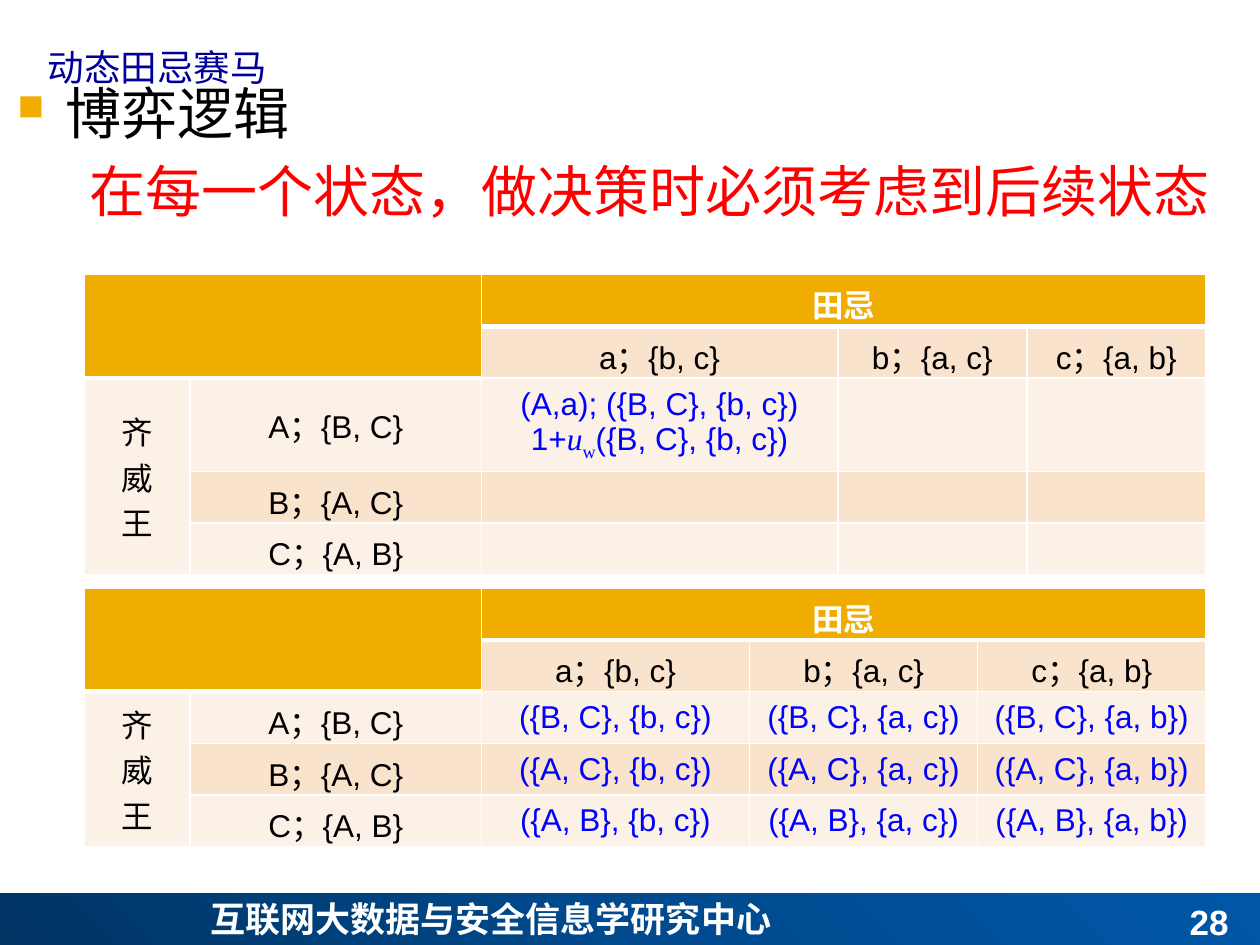
"""Build the slide on game logic in the dynamic Tian Ji horse race."""
from lxml import etree
from pptx import Presentation
from pptx.dml.color import RGBColor
from pptx.enum import shapes, text
from pptx.oxml import parse_xml
from pptx.oxml.ns import qn
from pptx.util import Inches, Pt

WHITE = RGBColor(0xFF, 0xFF, 0xFF)
BLACK = RGBColor(0, 0, 0)
NAVY = RGBColor(0, 0, 0x99)
RED = RGBColor(0xFF, 0, 0)
BLUE = RGBColor(0, 0, 0xFF)
AMBER = RGBColor(0xF0, 0xAD, 0)
PEACH = RGBColor(0xF9, 0xE3, 0xCC)
CREAM = RGBColor(0xFC, 0xF1, 0xE7)
FOOTER_STOPS = [(0, "003463"), (50, "004A8D"), (100, "0057A7")]
NS = 'xmlns:a="http://schemas.openxmlformats.org/drawingml/2006/main"'
CJK = "Noto Sans CJK SC"

TITLE = "动态田忌赛马"
TOPIC = "博弈逻辑"
STATEMENT = "在每一个状态，做决策时必须考虑到后续状态"
CENTRE_NAME = "互联网大数据与安全信息学研究中心"
PAGE = "28"

COLUMN_PLAYER = "田忌"
ROW_PLAYER = "齐\n威\n王"
COLUMN_MOVES = ["a；{b, c}", "b；{a, c}", "c；{a, b}"]
ROW_MOVES = ["A；{B, C}", "B；{A, C}", "C；{A, B}"]
UTILITY = "(A,a); ({B, C}, {b, c})\n1+"
FIRST_PAYOFFS = [[UTILITY, "", ""], ["", "", ""], ["", "", ""]]
NEXT_STATES = [[f"({row[2:]}, {column[2:]})" for column in COLUMN_MOVES]
               for row in ROW_MOVES]
GAMES = [
    (2.18, [0.84, 2.31, 2.83, 1.5, 1.42], FIRST_PAYOFFS),
    (4.67, [0.84, 2.31, 2.13, 1.81, 1.81], NEXT_STATES),
]
ROW_HEIGHT = 0.41


def style(font, size, color, name, bold=False):
    font.size, font.bold, font.name = Pt(size), bold, name
    font.color.rgb = color
    latin = font._element.find(qn("a:latin"))
    latin.addnext(parse_xml(f'<a:ea {NS} typeface="{CJK}"/>'))


def add_text(slide, box, lines):
    frame = slide.shapes.add_textbox(*map(Inches, box)).text_frame
    frame.word_wrap = True
    frame.text = "\n".join(lines)
    return frame


def add_border(cell, heavy_sides):
    properties = cell._tc.get_or_add_tcPr()
    for index, side in enumerate("LRTB"):
        width = Pt(3 if side in heavy_sides else 1)
        properties.insert(index, parse_xml(
            f'<a:ln{side} {NS} w="{width}"><a:solidFill>'
            f'<a:srgbClr val="{WHITE}"/></a:solidFill></a:ln{side}>'))


def fill_cell(cell, content, fill, color, bold=False, heavy_sides=""):
    cell.fill.solid()
    cell.fill.fore_color.rgb = fill
    cell.vertical_anchor = text.MSO_ANCHOR.MIDDLE
    cell.text = content
    for paragraph in cell.text_frame.paragraphs:
        paragraph.alignment = text.PP_ALIGN.CENTER
        style(paragraph.font, 18, color, "Arial", bold)
    add_border(cell, heavy_sides)


def add_utility(paragraph):
    symbol, subscript, state = [paragraph.add_run() for _ in range(3)]
    symbol.text, subscript.text, state.text = "u", "w", "({B, C}, {b, c})"
    symbol.font.italic = True
    symbol.font.name = subscript.font.name = "Times New Roman"
    subscript.font._element.set("baseline", "-25000")


def add_game(slide, top, widths, payoffs):
    rows = [["", "", COLUMN_PLAYER, "", ""], ["", ""] + COLUMN_MOVES]
    for index, (move, outcomes) in enumerate(zip(ROW_MOVES, payoffs)):
        rows.append([ROW_PLAYER if index == 0 else "", move] + outcomes)
    table = slide.shapes.add_table(
        len(rows), len(widths), Inches(0.67), Inches(top),
        Inches(sum(widths)), Inches(ROW_HEIGHT * len(rows))).table
    for column, width in zip(table.columns, widths):
        column.width = Inches(width)
    for r, row in enumerate(rows):
        table.rows[r].height = Inches(ROW_HEIGHT)
        for c, content in enumerate(row):
            header = r == 0 or (r == 1 and c < 2)
            header_end = 1 if c < 2 else 0
            heavy = "B" if r == header_end else "T" if r == header_end + 1 else ""
            if r == 0 and c < 2:
                heavy = "B"
            band = CREAM if c == 0 or r % 2 == 0 else PEACH
            color = WHITE if header else BLUE if r > 1 and c > 1 else BLACK
            fill_cell(table.cell(r, c), content, AMBER if header else band,
                      color, header, heavy)
            if content == UTILITY:
                add_utility(table.cell(r, c).text_frame.paragraphs[1])
    for start, end in [((0, 0), (1, 1)), ((0, 2), (0, 4)), ((2, 0), (4, 0))]:
        table.cell(*start).merge(table.cell(*end))


def add_footer(slide):
    bar = slide.shapes.add_shape(shapes.MSO_SHAPE.RECTANGLE, 0, Inches(7.09),
                                 Inches(10), Inches(0.44))
    bar.shadow.inherit = False
    bar.line.fill.background()
    stops = "".join(f'<a:gs pos="{position * 1000}"><a:srgbClr val="{color}"/></a:gs>'
                    for position, color in FOOTER_STOPS)
    bar._element.spPr.find(qn("a:prstGeom")).addnext(parse_xml(
        f'<a:gradFill {NS}><a:gsLst>{stops}</a:gsLst><a:path path="circle">'
        '<a:fillToRect t="100000" r="100000"/></a:path></a:gradFill>'))
    centre = add_text(slide, (1.57, 7.07, 6.85, 0.44), [CENTRE_NAME]).paragraphs[0]
    centre.alignment = text.PP_ALIGN.JUSTIFY
    style(centre.font, 20, WHITE, CJK, True)
    page = add_text(slide, (7.52, 7.09, 2.33, 0.44), [PAGE])
    page.vertical_anchor = text.MSO_ANCHOR.BOTTOM
    page.paragraphs[0].alignment = text.PP_ALIGN.RIGHT
    style(page.paragraphs[0].font, 20, WHITE, "Arial", True)


def add_heading(slide):
    title = add_text(slide, (0.28, -0.03, 9.72, 0.79), [TITLE]).paragraphs[0]
    style(title.font, 36, NAVY, CJK)
    title.runs[0].font._element.set("baseline", "-25000")

    topic, statement = add_text(
        slide, (0.04, 0.57, 10.24, 6.41), [TOPIC, STATEMENT]).paragraphs
    bullet = topic._p.get_or_add_pPr()
    bullet.set("marL", str(Inches(0.38)))
    bullet.set("indent", str(-Inches(0.38)))
    color = etree.SubElement(bullet, qn("a:buClr"))
    etree.SubElement(color, qn("a:srgbClr"), val=str(AMBER))
    etree.SubElement(bullet, qn("a:buSzPct"), val="65000")
    etree.SubElement(bullet, qn("a:buChar"), char="■")
    style(topic.font, 32, BLACK, "Times New Roman")
    statement.alignment = text.PP_ALIGN.CENTER
    statement.space_before = Pt(6.4)
    style(statement.font, 32, RED, "Times New Roman")


def main():
    deck = Presentation()
    deck.slide_width, deck.slide_height = Inches(10), Inches(7.5)
    slide = deck.slides.add_slide(deck.slide_layouts[6])
    add_footer(slide)
    add_heading(slide)
    for game in GAMES:
        add_game(slide, *game)
    deck.save("out.pptx")


if __name__ == "__main__":
    main()
